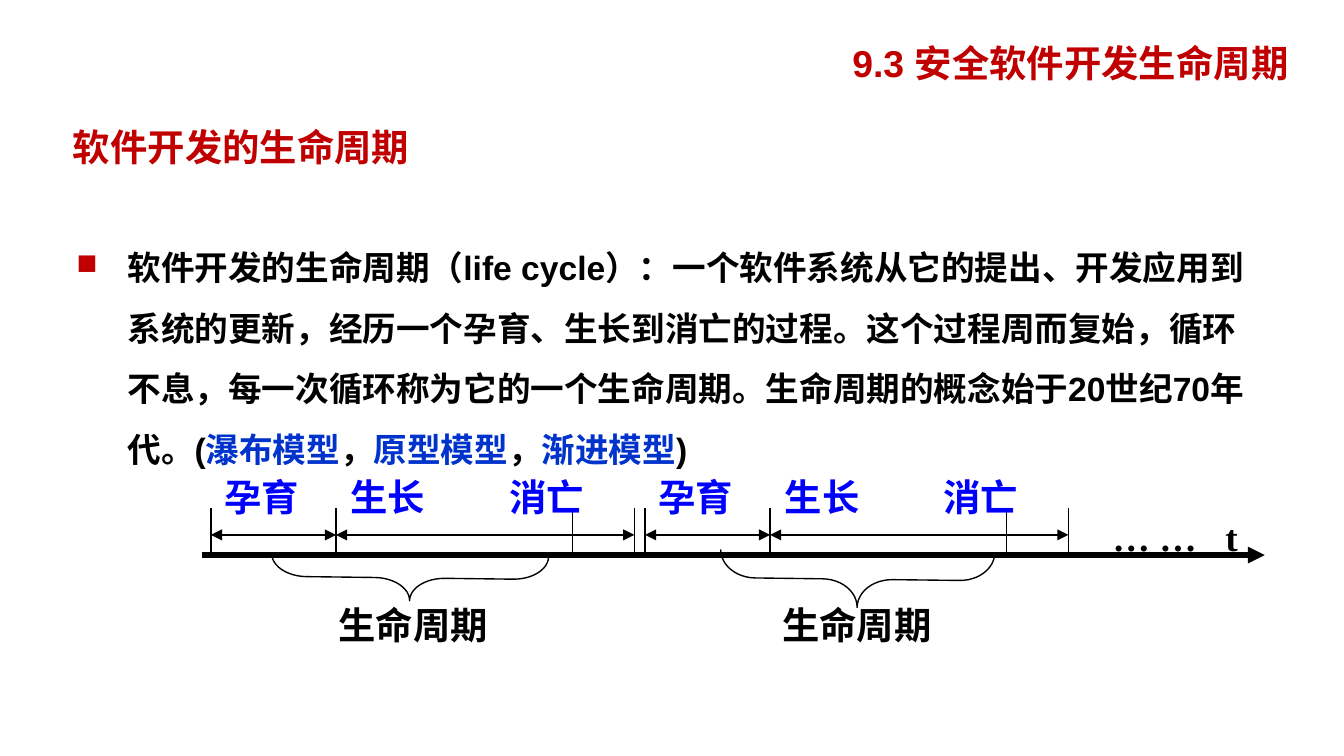
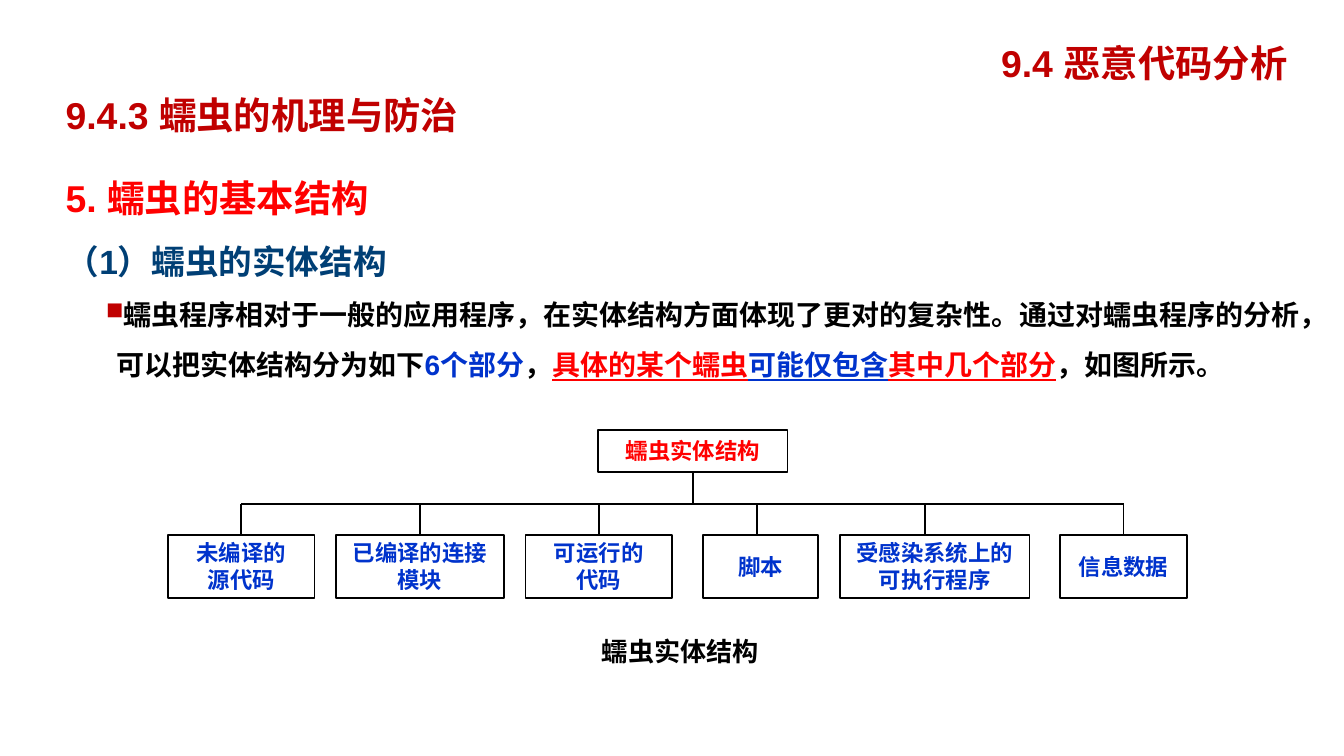
"""Build two slides on the software life cycle and the structure of worms."""
from dataclasses import dataclass
from typing import Optional, Sequence

from lxml.etree import SubElement
from pptx import Presentation
from pptx.dml.color import RGBColor
from pptx.enum.shapes import MSO_CONNECTOR, MSO_SHAPE
from pptx.enum.text import MSO_ANCHOR as Anchor, PP_ALIGN as Align
from pptx.oxml.ns import qn
from pptx.util import Inches, Pt

COLORS = {
    "title": "C00000",
    "text": "000000",
    "key": "0033CC",
    "phase": "0000FF",
    "alert": "FF0000",
    "section": "003F75",
}
SANS, SERIF = "Arial", "Times New Roman"


@dataclass(frozen=True)
class Span:
    text: str
    color: str = "text"
    underline: bool = False


@dataclass(frozen=True)
class Para:
    spans: Sequence[Span]
    size: float
    font: str = SANS
    align: Align = Align.LEFT
    spacing: Optional[float] = None
    margin: float = 0
    indent: float = 0
    bullet: bool = False
    tabs: Sequence[float] = ()


@dataclass(frozen=True)
class Box:
    left: float
    top: float
    width: float
    height: float

    def lengths(self) -> tuple:
        return tuple(Inches(v) for v in (self.left, self.top, self.width, self.height))


@dataclass(frozen=True)
class Part:
    lines: Sequence[str]
    left: float
    width: float
    drop_x: Optional[float] = None


@dataclass(frozen=True)
class Brace:
    center_x: float
    center_y: float
    span: float
    depth: float
    curve: float
    label: Box


def rgb(color: str) -> RGBColor:
    return RGBColor.from_string(COLORS[color])


def write(frame, paras: Sequence[Para]) -> None:
    for number, para in enumerate(paras):
        paragraph = frame.add_paragraph() if number else frame.paragraphs[0]
        paragraph.alignment = para.align
        if para.spacing:
            paragraph.line_spacing = para.spacing
        props = paragraph._p.get_or_add_pPr()
        if para.margin:
            props.set("marL", str(Inches(para.margin)))
            props.set("indent", str(Inches(para.indent)))
        if para.bullet:
            tint = SubElement(props, qn("a:buClr"))
            SubElement(tint, qn("a:srgbClr"), val=COLORS["title"])
            SubElement(props, qn("a:buSzPct"), val="85000")
            SubElement(props, qn("a:buChar"), char="■")
        if para.tabs:
            stops = SubElement(props, qn("a:tabLst"))
            for stop in para.tabs:
                SubElement(stops, qn("a:tab"), pos=str(Inches(stop)), algn="l")
        for span in para.spans:
            run = paragraph.add_run()
            run.text = span.text
            run.font.name = para.font
            run.font.size = Pt(para.size)
            run.font.bold = True
            run.font.color.rgb = rgb(span.color)
            if span.underline:
                run.font.underline = True


def add_text(slide, box: Box, paras: Sequence[Para], anchor: Anchor = Anchor.TOP) -> None:
    frame = slide.shapes.add_textbox(*box.lengths()).text_frame
    frame.word_wrap = True
    frame.vertical_anchor = anchor
    write(frame, paras)


def add_heading(slide, box: Box, text: str) -> None:
    add_text(slide, box, [Para([Span(text, "title")], 20, align=Align.CENTER)], Anchor.MIDDLE)


def add_outline(slide, preset: MSO_SHAPE, box: Box, weight: float):
    outline = slide.shapes.add_shape(preset, *box.lengths())
    outline.shadow.inherit = False
    outline.fill.background()
    outline.line.color.rgb = rgb("text")
    outline.line.width = Pt(weight)
    return outline


def add_node(slide, box: Box, lines: Sequence[str], color: str):
    node = add_outline(slide, MSO_SHAPE.RECTANGLE, box, 1)
    node.text_frame.word_wrap = False
    node.text_frame.vertical_anchor = Anchor.MIDDLE
    write(node.text_frame, [Para([Span(line, color)], 12, align=Align.CENTER) for line in lines])
    return node


def add_line(slide, x1: int, y1: int, x2: int, y2: int, weight: float, arrows: Sequence[str] = ()):
    line = slide.shapes.add_connector(MSO_CONNECTOR.STRAIGHT, x1, y1, x2, y2)
    line.line.color.rgb = rgb("text")
    line.line.width = Pt(weight)
    stroke = line.line._get_or_add_ln()
    for end in arrows:
        SubElement(stroke, qn(f"a:{end}"), type="triangle")
    SubElement(line._element.spPr, qn("a:effectLst"))
    return line


def center_x(node) -> int:
    return node.left + node.width // 2


def add_cycle(slide, start: float, tick_top: float, span_y: float, axis_y: float) -> None:
    for offset in (0, 0.93, 2.69, 3.15):
        x = Inches(start + offset)
        add_line(slide, x, Inches(tick_top), x, Inches(axis_y), 0.75)
    for begin, end in ((0, 0.93), (0.93, 3.15)):
        add_line(slide, Inches(start + begin), Inches(span_y), Inches(start + end), Inches(span_y),
                 0.75, ("headEnd", "tailEnd"))
    phases = Span("\t".join(("孕育", "生长", "消亡")), "phase")
    add_text(slide, Box(start, 3.48, 3.38, 0.44), [Para([phases], 20, SERIF, tabs=(0.94, 2.12))])


def add_brace(slide, brace: Brace) -> None:
    box = Box(brace.center_x - brace.depth / 2, brace.center_y - brace.span / 2,
              brace.depth, brace.span)
    curly = add_outline(slide, MSO_SHAPE.LEFT_BRACE, box, 0.75)
    curly.adjustments[0] = brace.curve
    curly.rotation = 270.7
    add_text(slide, brace.label, [Para([Span("生命周期")], 20, SERIF)])


def build_life_cycle(slide) -> None:
    add_heading(slide, Box(0.31, 0.7, 2.97, 0.78), "软件开发的生命周期")
    definition = [
        Span("软件开发的生命周期（life cycle）：一个软件系统从它的提出、开发应用到系统的更新，"
             "经历一个孕育、生长到消亡的过程。这个过程周而复始，循环不息，每一次循环称为它的"
             "一个生命周期。生命周期的概念始于20世纪70年代。("),
        Span("瀑布模型", "key"), Span("，"),
        Span("原型模型", "key"), Span("，"),
        Span("渐进模型", "key"), Span(")"),
    ]
    add_text(slide, Box(0.47, 1.64, 9, 3.06),
             [Para(definition, 18, spacing=1.5, margin=0.38, indent=-0.38, bullet=True)])

    axis_y = 4.13
    add_line(slide, Inches(1.5), Inches(axis_y), Inches(9.41), Inches(axis_y), 3, ("tailEnd",))
    for start in (1.57, 4.8):
        add_cycle(slide, start, 3.78, 3.98, axis_y)
    for brace in (
        Brace(3.05, 4.3, 2.06, 0.34, 0.77, Box(2.42, 4.43, 1.54, 0.44)),
        Brace(6.38, 4.31, 2.04, 0.42, 0.62, Box(5.72, 4.43, 1.61, 0.44)),
    ):
        add_brace(slide, brace)
    time_mark = Span("\t".join(("… …", "t")))
    add_text(slide, Box(8.18, 3.78, 1.23, 0.44), [Para([time_mark], 20, SERIF, tabs=(0.84,))])
    add_heading(slide, Box(6.17, 0.16, 3.59, 0.61), "9.3 安全软件开发生命周期")


def build_worm_structure(slide) -> None:
    explanation = [
        Span("蠕虫程序相对于一般的应用程序，在实体结构方面体现了更对的复杂性。"
             "通过对蠕虫程序的分析，可以把实体结构分为如下"),
        Span("6个部分", "key"), Span("，"),
        Span("具体的某个蠕虫", "alert", True),
        Span("可能仅包含", "key", True),
        Span("其中几个部分", "alert", True),
        Span("，如图所示。"),
    ]
    add_text(slide, Box(0.39, 1.09, 9.38, 1.8), [
        Para([Span("5. 蠕虫的基本结构", "alert")], 20, spacing=1.5, margin=0.38, indent=-0.38),
        Para([Span("（1）蠕虫的实体结构", "section")], 18, spacing=1.5, margin=0.38, indent=-0.38),
        Para(explanation, 15, spacing=1.5, margin=0.38, indent=-0.08, bullet=True),
    ])
    add_heading(slide, Box(7.19, 0.16, 2.65, 0.61), "9.4 恶意代码分析")
    add_heading(slide, Box(0.23, 0.62, 3.44, 0.47), "9.4.3 蠕虫的机理与防治")

    bus_y = Inches(3.75)
    structure = "蠕虫实体结构"
    root = add_node(slide, Box(4.45, 3.2, 1.41, 0.31), [structure], "alert")
    root_x = center_x(root)
    stem = add_line(slide, root_x, root.top + root.height, root_x, bus_y, 1)
    stem.begin_connect(root, 2)

    drops = []
    for part in (
        Part(("未编译的", "源代码"), 1.25, 1.09),
        Part(("已编译的连接", "模块"), 2.5, 1.25),
        Part(("可运行的", "代码"), 3.91, 1.09),
        Part(("脚本",), 5.23, 0.86, drop_x=5.63),
        Part(("受感染系统上的", "可执行程序"), 6.25, 1.41, drop_x=6.88),
        Part(("信息数据",), 7.89, 0.94),
    ):
        node = add_node(slide, Box(part.left, 3.98, part.width, 0.47), part.lines, "key")
        x = Inches(part.drop_x) if part.drop_x else center_x(node)
        drop = add_line(slide, x, bus_y, x, node.top, 1)
        if not part.drop_x:
            drop.end_connect(node, 0)
        drops.append(x)
    add_line(slide, drops[-1], bus_y, drops[0], bus_y, 1)
    add_text(slide, Box(4.38, 4.68, 1.41, 0.34), [Para([Span(structure)], 14)])


def main() -> None:
    deck = Presentation()
    deck.slide_width, deck.slide_height = Inches(10), Inches(10 * 9 / 16)
    for build in (build_life_cycle, build_worm_structure):
        build(deck.slides.add_slide(deck.slide_layouts[6]))
    deck.save("out.pptx")


if __name__ == "__main__":
    main()
